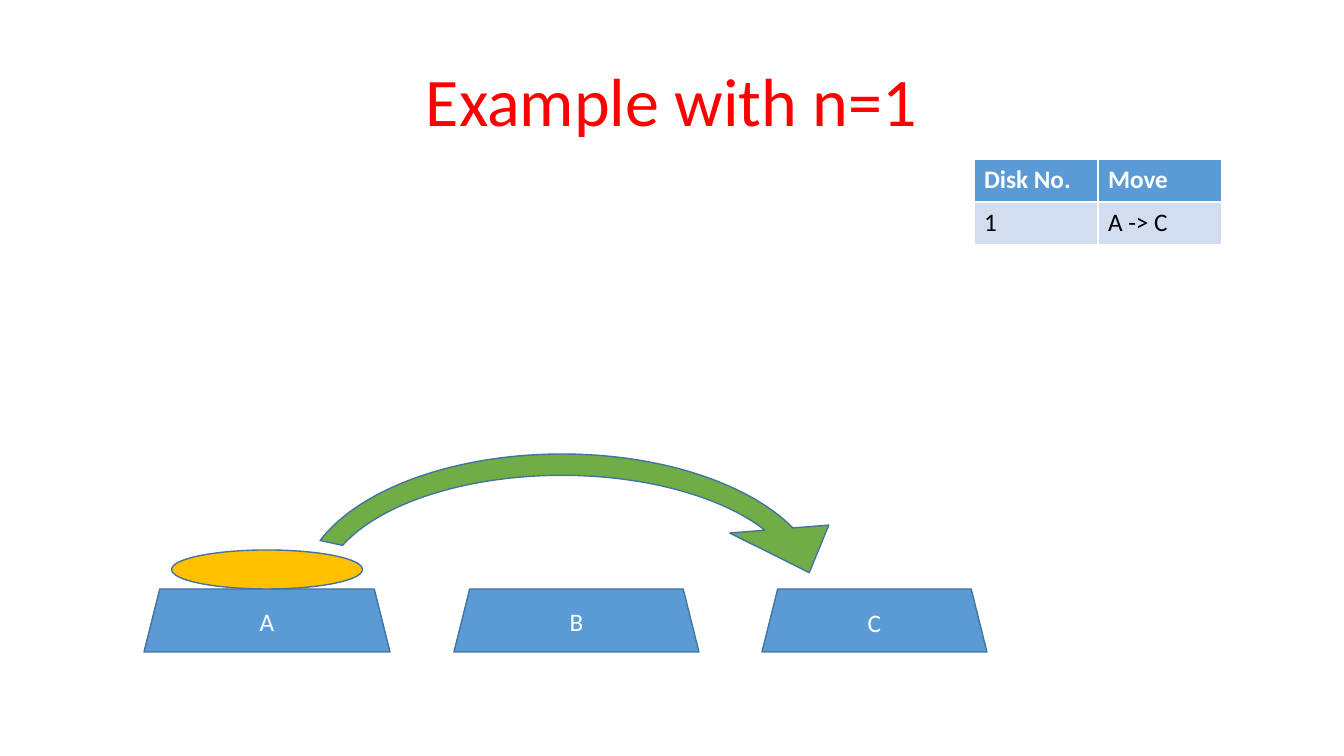
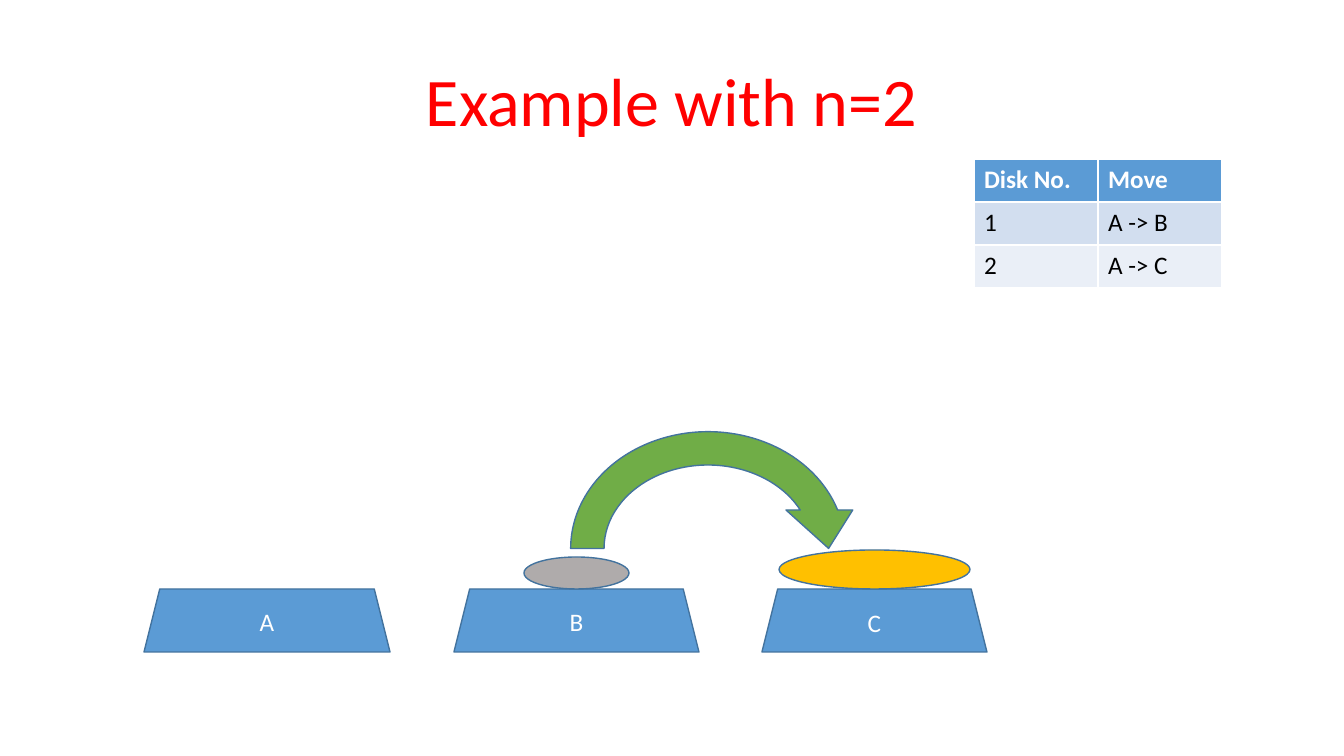
from pptx import Presentation
from pptx.dml.color import RGBColor
from pptx.enum.shapes import MSO_SHAPE
from pptx.enum.text import MSO_ANCHOR, MSO_AUTO_SIZE, PP_ALIGN
from pptx.util import Emu, Pt

RED = RGBColor(0xFF, 0x00, 0x00)
BLUE = RGBColor(0x5B, 0x9B, 0xD5)
EDGE = RGBColor(0x43, 0x73, 0x9E)
GOLD = RGBColor(0xFF, 0xC0, 0x00)
GREY = RGBColor(0xAF, 0xAB, 0xAB)
GREEN = RGBColor(0x70, 0xAD, 0x47)
WHITE = RGBColor(0xFF, 0xFF, 0xFF)
BLACK = RGBColor(0x00, 0x00, 0x00)
BANDS = [RGBColor(0xD2, 0xDE, 0xEF), RGBColor(0xEA, 0xEF, 0xF7)]

TRAPEZOID = MSO_SHAPE.TRAPEZOID
OVAL = MSO_SHAPE.OVAL
ARROW = MSO_SHAPE.CIRCULAR_ARROW
BOTTOM = MSO_ANCHOR.BOTTOM
MIDDLE = MSO_ANCHOR.MIDDLE
CENTER = PP_ALIGN.CENTER
NO_FIT = MSO_AUTO_SIZE.NONE

PX = 914400 / 100.8
FLOOR = 589
COL_W = 124
ROW_H = 43
BASES = {"A": (144, 246), "B": (454, 245), "C": (762, 225)}
DISKS = {1: (105, 32, GREY), 2: (191, 39, GOLD)}

SLIDES = [
    {
        "title": "Example with n=1",
        "moves": [("1", "A -> C")],
        "disks": [("A", 2)],
        "arrow": (262, 415, 600, 355),
        "bend": [0.06, 7.01, 206.24, 115.27, 0.14],
    },
    {
        "title": "Example with n=2",
        "moves": [("1", "A -> B"), ("2", "A -> C")],
        "disks": [("C", 2), ("B", 1)],
        "arrow": (554, 415, 308, 267),
        "bend": [],
    },
]


def write(frame, text, size, color, bold=False):
    run = frame.paragraphs[0].add_run()
    run.text = text
    run.font.name = "Calibri"
    run.font.size = Pt(size)
    run.font.bold = bold
    run.font.color.rgb = color


def draw(slide, kind, box, color):
    shape = slide.shapes.add_shape(kind, *[Emu(round(n * PX)) for n in box])
    shape.shadow.inherit = False
    shape.fill.solid()
    shape.fill.fore_color.rgb = color
    shape.line.color.rgb = EDGE
    shape.line.width = Pt(1)
    return shape


deck = Presentation()
deck.slide_width = Emu(round(1344 * PX))
deck.slide_height = Emu(round(756 * PX))

for data in SLIDES:
    slide = deck.slides.add_slide(deck.slide_layouts[5])

    title = slide.shapes.title
    title.left, title.top, title.width, title.height = [
        Emu(round(n * PX)) for n in (92, 60, 1159, 86)
    ]
    frame = title.text_frame
    frame.auto_size = NO_FIT
    frame.vertical_anchor = BOTTOM
    frame.paragraphs[0].alignment = CENTER
    frame.paragraphs[0].line_spacing = 0.9
    write(frame, data["title"], 48.6, RED)

    for name, (left, width) in BASES.items():
        base = draw(slide, TRAPEZOID, (left, FLOOR, width, 63), BLUE)
        base.text_frame.vertical_anchor = MIDDLE
        base.text_frame.paragraphs[0].alignment = CENTER
        write(base.text_frame, name, 18, WHITE)

    for name, disk in data["disks"]:
        left, room = BASES[name]
        width, height, color = DISKS[disk]
        box = (left + (room - width) / 2, FLOOR - height, width, height)
        draw(slide, OVAL, box, color)

    arrow = draw(slide, ARROW, data["arrow"], GREEN)
    for i, value in enumerate(data["bend"]):
        arrow.adjustments[i] = value

    rows = [("Disk No.", "Move")] + data["moves"]
    box = (974, 159, 2 * COL_W, ROW_H * len(rows))
    table = slide.shapes.add_table(
        len(rows), 2, *[Emu(round(n * PX)) for n in box]
    ).table
    for r, row in enumerate(rows):
        head = r == 0
        for c, text in enumerate(row):
            cell = table.cell(r, c)
            cell.fill.solid()
            cell.fill.fore_color.rgb = BLUE if head else BANDS[(r - 1) % 2]
            write(cell.text_frame, text, 18, WHITE if head else BLACK, head)

deck.save("out.pptx")
